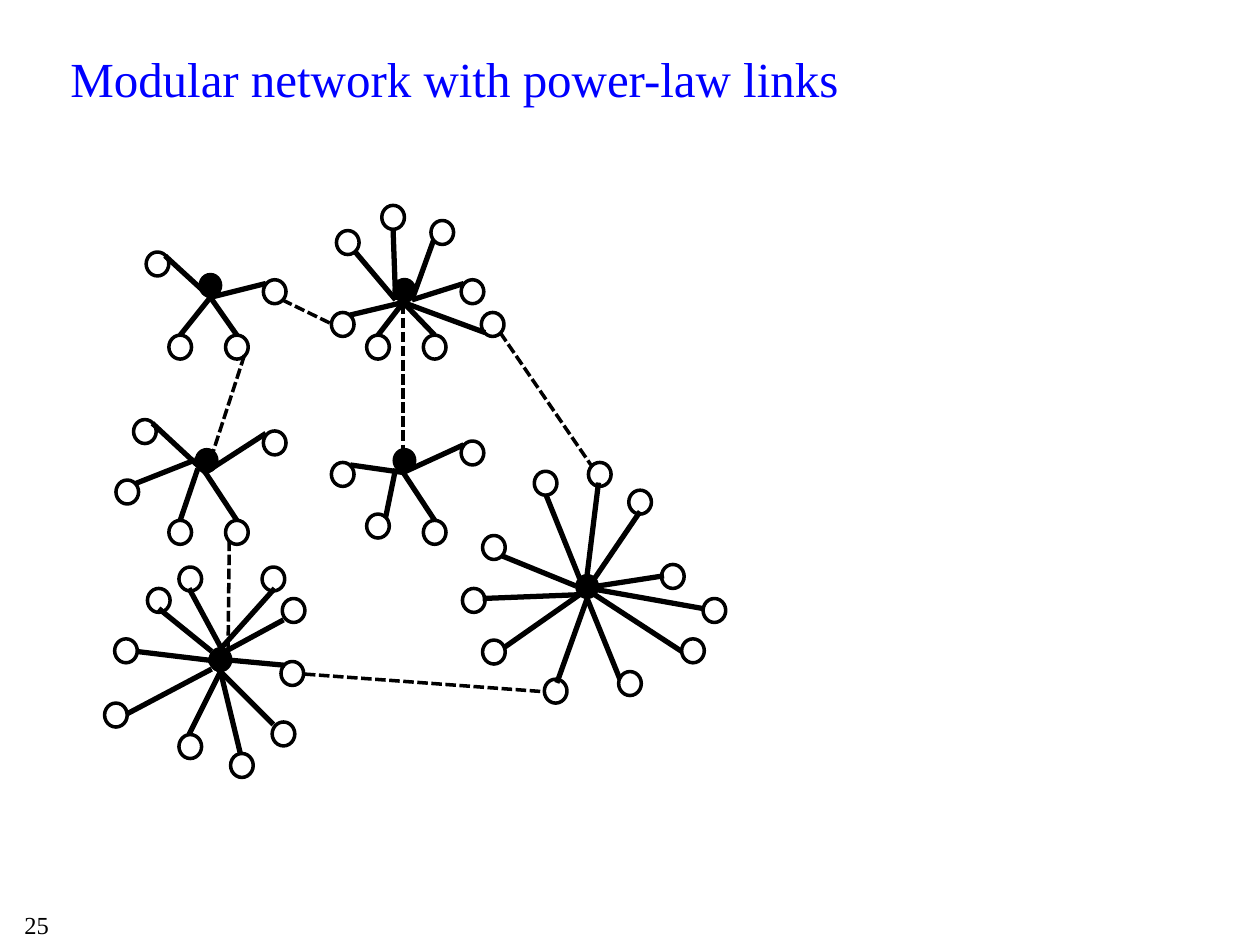
"""Slide of hub-and-spoke modules joined by dashed long-range links."""
from lxml.etree import SubElement
from pptx import Presentation
from pptx.dml.color import RGBColor
from pptx.enum.dml import MSO_LINE
from pptx.enum.shapes import MSO_CONNECTOR, MSO_SHAPE
from pptx.enum.text import MSO_ANCHOR, PP_ALIGN
from pptx.oxml.ns import qn
from pptx.util import Inches, Pt

COLORS = {"ink": "000000", "title": "0000FF"}
INK = RGBColor.from_string(COLORS["ink"])

prs = Presentation()
prs.slide_width, prs.slide_height = Inches(10), Inches(7.5)
s = prs.slides.add_slide(prs.slide_layouts[6])
COL, ROW = prs.slide_width // 1000, prs.slide_height // 750
NODE_W, NODE_H = 18, 19


def add_node(x, y, hub=False):
    sp = s.shapes.add_shape(MSO_SHAPE.OVAL, x * COL, y * ROW, NODE_W * COL, NODE_H * ROW)
    sp.shadow.inherit = False
    sp.line.color.rgb = INK
    sp.line.width = Pt(0.75 if hub else 2)
    if hub:
        sp.fill.solid()
        sp.fill.fore_color.rgb = INK
    else:
        sp.fill.background()


def add_link(x1, y1, x2, y2, width=3, dash=None):
    ln = s.shapes.add_connector(MSO_CONNECTOR.STRAIGHT, x1 * COL, y1 * ROW, x2 * COL, y2 * ROW)
    ln.line.color.rgb = INK
    for name, value in {"width": Pt(width), "dash_style": dash}.items():
        setattr(ln.line, name, value)
    SubElement(ln._element.spPr, qn("a:effectLst"))


texts = [
    {"text": "25", "box": (-45, 717, 148, 33), "size": 14, "color": "ink",
     "align": PP_ALIGN.CENTER, "frame": {"vertical_anchor": MSO_ANCHOR.TOP}},
    {"text": "Modular network with power-law links", "box": (46, 22, 850, 125),
     "size": 28, "color": "title", "align": PP_ALIGN.LEFT,
     "frame": {"vertical_anchor": MSO_ANCHOR.MIDDLE, "margin_bottom": 50 * ROW}},
]
for t in texts:
    x, y, w, h = t["box"]
    tf = s.shapes.add_textbox(x * COL, y * ROW, w * COL, h * ROW).text_frame
    for name, value in {"word_wrap": True, **t["frame"]}.items():
        setattr(tf, name, value)
    p = tf.paragraphs[0]
    p.alignment = t["align"]
    r = p.add_run()
    r.text = t["text"]
    for name, value in {"name": "Times New Roman", "size": Pt(t["size"])}.items():
        setattr(r.font, name, value)
    r.font.color.rgb = RGBColor.from_string(COLORS[t["color"]])

modules = [
    {"hub": (158, 217),
     "nodes": [(179, 266), (134, 266), (116, 200), (209, 222)],
     "spokes": {(167, 236): [(131, 203), (143, 266), (188, 266), (211, 225)]}},
    {"hub": (312, 221),
     "nodes": [(336, 266), (291, 266), (263, 248), (366, 222), (303, 163),
               (342, 175), (267, 183), (382, 248)],
     "spokes": {(320, 240): [(278, 250), (300, 266), (345, 266), (385, 264)],
                (314, 238): [(312, 182), (282, 200)],
                (327, 238): [(368, 225), (344, 191)]}},
    {"hub": (155, 356),
     "nodes": [(179, 413), (134, 413), (106, 333), (209, 342), (92, 381)],
     "spokes": {(163, 375): [(121, 336), (188, 413), (211, 344)],
                (157, 372): [(143, 413)], (155, 365): [(107, 384)]}},
    {"hub": (312, 356),
     "nodes": [(336, 413), (291, 408), (263, 367), (366, 350)],
     "spokes": {(320, 375): [(278, 369), (345, 413), (368, 353)],
                (314, 372): [(306, 411)]}},
    {"hub": (166, 514),
     "nodes": [(183, 598), (142, 583), (91, 507), (223, 525), (216, 573), (117, 467),
               (224, 475), (83, 558), (208, 450), (142, 450)],
     "spokes": {(166, 524): [(108, 517), (225, 492)],
                (175, 533): [(150, 583), (191, 599)],
                (183, 524): [(226, 528)], (167, 525): [(217, 575)],
                (168, 517): [(126, 483)], (168, 531): [(100, 567)],
                (175, 515): [(218, 467)], (177, 517): [(150, 467)]}},
    {"hub": (457, 456),
     "nodes": [(491, 533), (367, 467), (432, 539), (383, 508), (541, 507), (558, 475),
               (467, 367), (383, 425), (525, 448), (499, 389), (424, 374)],
     "spokes": {(472, 459): [(508, 406)], (472, 472): [(541, 517)],
                (466, 475): [(492, 539), (442, 542)],
                (460, 472): [(400, 514), (383, 475)],
                (475, 465): [(527, 457)], (457, 465): [(398, 441), (558, 483)],
                (460, 459): [(433, 392)], (466, 456): [(475, 383)]}},
]
for m in modules:
    add_node(*m["hub"], hub=True)
    for node in m["nodes"]:
        add_node(*node)
    for start, ends in m["spokes"].items():
        for end in ends:
            add_link(*start, *end)

bridges = [(224, 238, 263, 257), (242, 535, 432, 549), (182, 429, 181, 517),
           (194, 282, 169, 359), (320, 241, 320, 375), (397, 264, 469, 369)]
for bridge in bridges:
    add_link(*bridge, width=2, dash=MSO_LINE.SQUARE_DOT)

prs.save("out.pptx")
